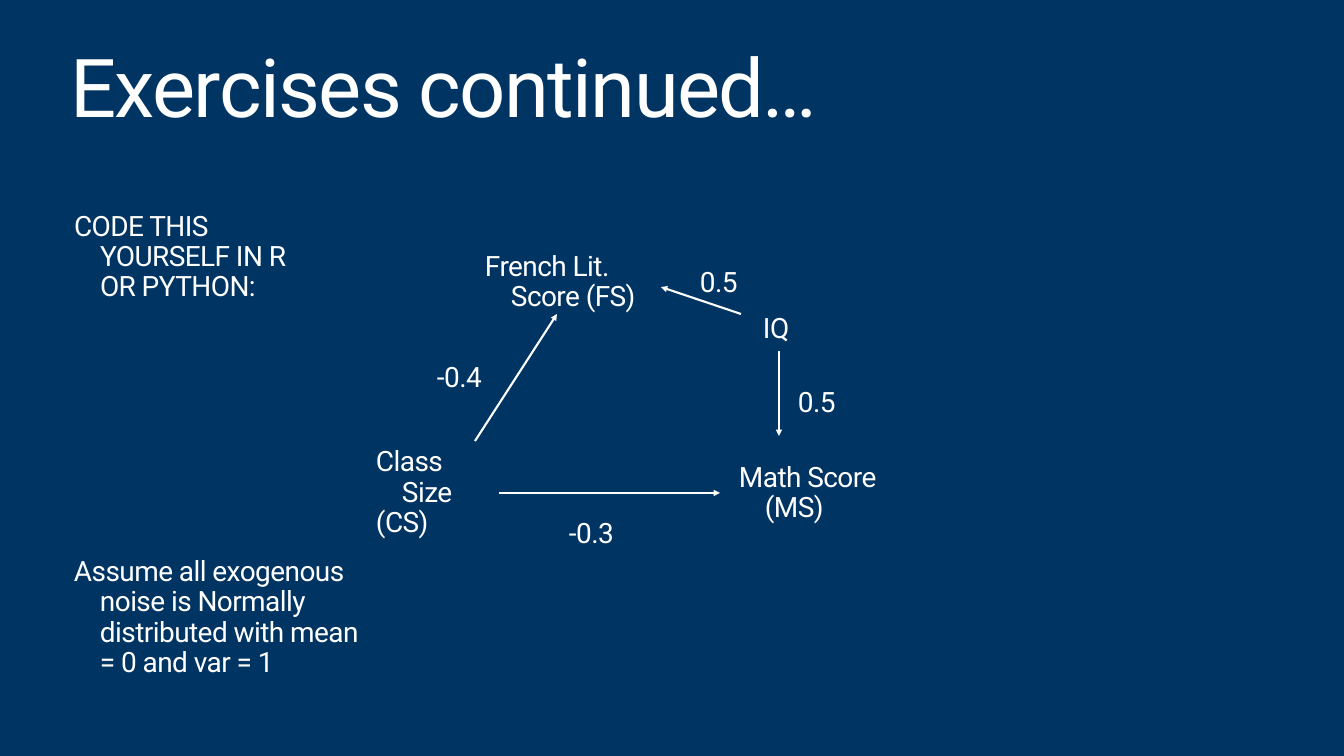
"""Build the causal graph exercise slide."""
from lxml.etree import SubElement
from pptx import Presentation
from pptx.dml.color import RGBColor
from pptx.enum.shapes import MSO_CONNECTOR as Link
from pptx.enum.text import MSO_ANCHOR as Anchor, MSO_AUTO_SIZE as Fit
from pptx.oxml.ns import qn
from pptx.util import Pt

NAVY = RGBColor(0x00, 0x34, 0x62)
WHITE = RGBColor(0xFF, 0xFF, 0xFF)
FONT = "Roboto"
SCALE = 18143
INSET = 3
INDENT = 35
HANG = -26


def px(num):
    return num * SCALE


class Deck:
    def __init__(self, wide, high):
        self.prs = Presentation()
        self.prs.slide_width, self.prs.slide_height = px(wide), px(high)
        self.slide = self.prs.slides.add_slide(self.prs.slide_layouts[6])
        fill = self.slide.background.fill
        fill.solid()
        fill.fore_color.rgb = NAVY

    def text(self, left, top, wide, high, lines, size, lead, track):
        box = self.slide.shapes.add_textbox(px(left), px(top), px(wide), px(high))
        frame = box.text_frame
        frame.word_wrap = True
        frame.vertical_anchor = Anchor.MIDDLE
        frame.margin_left = frame.margin_right = px(INSET)
        frame.margin_top = frame.margin_bottom = px(INSET)
        for num, line in enumerate(lines):
            para = frame.add_paragraph() if num else frame.paragraphs[0]
            para.line_spacing = lead
            run = para.add_run()
            run.text = line
            font = run.font
            font.name, font.size = FONT, Pt(size)
            font.color.rgb = WHITE
            run._r.get_or_add_rPr().set("spc", str(track))
        return frame

    def title(self, left, top, wide, high, line):
        self.text(left, top, wide, high, [line], 116, 0.8, -230)

    def label(self, left, top, wide, high, *lines):
        frame = self.text(left, top, wide, high, lines, 40, 0.9, -80)
        frame.auto_size = Fit.SHAPE_TO_FIT_TEXT
        for para in frame.paragraphs:
            props = para._p.get_or_add_pPr()
            props.set("marL", str(px(INDENT)))
            props.set("indent", str(px(HANG)))

    def arrow(self, *ends):
        link = self.slide.shapes.add_connector(Link.STRAIGHT, *map(px, ends))
        link.line.color.rgb = WHITE
        link.line.width = Pt(3)
        SubElement(link.line._get_or_add_ln(), qn("a:tailEnd"), type="triangle")
        SubElement(link._element.spPr, qn("a:effectLst"))

    def save(self):
        self.prs.save("out.pptx")


def main():
    deck = Deck(1344, 756)
    deck.title(67, -34, 1211, 256, "Exercises continued…")

    deck.label(62, 207, 265, 101, "CODE THIS YOURSELF IN R OR PYTHON:")
    deck.label(62, 552, 307, 132, "Assume all exogenous noise is Normally "
               "distributed with mean = 0 and var = 1")

    deck.label(364, 427, 130, 132, "Class Size", "(CS)")
    nodes = [
        (727, 443, 101, "Math Score (MS)"),
        (473, 232, 101, "French Lit. Score (FS)"),
        (751, 294, 70, "IQ"),
    ]
    for left, top, high, name in nodes:
        deck.label(left, top, 181, high, name)

    edges = [
        ((499, 493, 720, 493), (557, 499), "-0.3"),
        ((475, 441, 557, 314), (425, 343), "-0.4"),
        ((779, 351, 779, 436), (786, 368), "0.5"),
        ((741, 314, 661, 287), (688, 248), "0.5"),
    ]
    for ends, (left, top), weight in edges:
        deck.arrow(*ends)
        deck.label(left, top, 181, 70, weight)
    deck.save()


if __name__ == "__main__":
    main()
